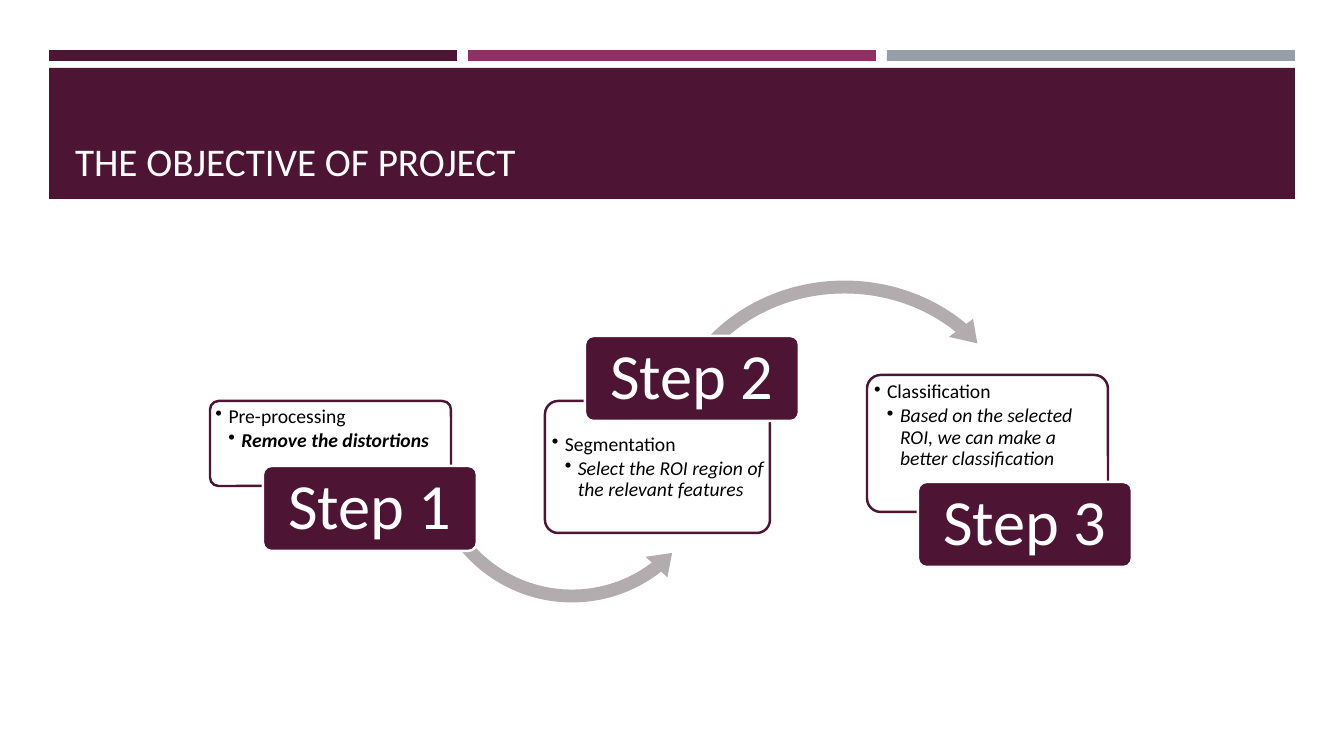
from dataclasses import dataclass

from lxml.etree import SubElement
from pptx import Presentation
from pptx.dml.color import RGBColor
from pptx.enum.shapes import MSO_SHAPE
from pptx.enum.text import MSO_ANCHOR, PP_ALIGN
from pptx.oxml.ns import qn
from pptx.util import Emu, Pt

EMU_PER_PX = 914400 / 100.8


@dataclass(frozen=True)
class Theme:
    font: str = "Calibri"
    plum: RGBColor = RGBColor.from_string("4D1434")
    magenta: RGBColor = RGBColor.from_string("903163")
    slate: RGBColor = RGBColor.from_string("969FA7")
    arrow: RGBColor = RGBColor.from_string("B2ACAE")
    white: RGBColor = RGBColor.from_string("FFFFFF")
    black: RGBColor = RGBColor.from_string("000000")
    title_size: Pt = Pt(28)
    step_size: Pt = Pt(46)
    body_size: Pt = Pt(14)
    outline: Pt = Pt(1.75)


def px(length):
    return Emu(round(length * EMU_PER_PX))


def assign(target, values):
    for name, value in values.items():
        setattr(target, name, value)


class SlideBuilder:
    def __init__(self, slide, theme):
        self.slide = slide
        self.theme = theme

    def shape(self, kind, box, fill, line=None, adjustments=()):
        shape = self.slide.shapes.add_shape(kind, *map(px, box))
        shape.shadow.inherit = False
        shape.fill.solid()
        shape.fill.fore_color.rgb = fill
        if line is None:
            shape.line.fill.background()
        else:
            shape.line.color.rgb = line
            shape.line.width = self.theme.outline
        for index, value in enumerate(adjustments):
            shape.adjustments[index] = value
        return shape

    def frame(self, shape, insets, anchor):
        left, top, right, bottom = map(px, insets)
        frame = shape.text_frame
        assign(frame, {
            "word_wrap": True, "vertical_anchor": anchor,
            "margin_left": left, "margin_top": top,
            "margin_right": right, "margin_bottom": bottom,
        })
        return frame

    def wording(self, paragraph, text, size, color, layout, **emphasis):
        assign(paragraph, layout)
        run = paragraph.add_run()
        run.text = text
        assign(run.font, {"name": self.theme.font, "size": size, **emphasis})
        run.font.color.rgb = color

    def title(self, text, box):
        title = self.slide.shapes.title
        assign(title, dict(zip(("left", "top", "width", "height"), map(px, box))))
        frame = self.frame(title, (10, 5, 10, 5), MSO_ANCHOR.BOTTOM)
        self.wording(frame.paragraphs[0], text, self.theme.title_size,
                     self.theme.white, {"alignment": PP_ALIGN.LEFT, "line_spacing": 0.9})
        self.slide.shapes._spTree.append(title._element)

    def bullet(self, paragraph, text, level, **emphasis):
        self.wording(paragraph, text, self.theme.body_size, self.theme.black, {
            "alignment": PP_ALIGN.LEFT, "level": level,
            "line_spacing": 0.9, "space_after": Pt(2),
        }, **emphasis)
        properties = paragraph._p.get_or_add_pPr()
        hanging = px(13)
        properties.set("marL", str(hanging * level))
        properties.set("indent", str(-hanging))
        SubElement(properties, qn("a:buChar"), char="•")

    def card(self, box, top_inset, heading, detail, bold):
        card = self.shape(MSO_SHAPE.ROUNDED_RECTANGLE, box, self.theme.white,
                          self.theme.plum, (0.1,))
        white = card._element.spPr.find(qn("a:solidFill"))[0]
        SubElement(white, qn("a:alpha"), val="90000")
        frame = self.frame(card, (3, top_inset, 0, 3), MSO_ANCHOR.TOP)
        self.bullet(frame.paragraphs[0], heading, 1)
        self.bullet(frame.add_paragraph(), detail, 2, italic=True, bold=bold)

    def step(self, left, top, text):
        step = self.shape(MSO_SHAPE.ROUNDED_RECTANGLE, (left, top, 214, 85),
                          self.theme.plum, self.theme.white, (0.1,))
        frame = self.frame(step, (10, 6, 10, 6), MSO_ANCHOR.MIDDLE)
        self.wording(frame.paragraphs[0], text, self.theme.step_size,
                     self.theme.white, {"alignment": PP_ALIGN.CENTER, "line_spacing": 0.9})


STAGES = [
    {"card": ((210, 401, 241, 85), 3, "Pre-processing", "Remove the distortions", True),
     "arrow": (MSO_SHAPE.LEFT_CIRCULAR_ARROW, (419, 305, 306, 306),
               (0.042, 5.255, 31.344, 98.579, 0.049)),
     "step": (263, 466)},
    {"card": ((545, 401, 225, 132), 30, "Segmentation",
              "Select the ROI region of the relevant features", False),
     "arrow": (MSO_SHAPE.CIRCULAR_ARROW, (657, 272, 375, 341),
               (0.038, 4.682, 189.29, 121.482, 0.044)),
     "step": (585, 336)},
    {"card": ((867, 375, 241, 137), 3, "Classification",
              "Based on the selected ROI, we can make a better classification", False),
     "arrow": None,
     "step": (918, 482)},
]


def main():
    presentation = Presentation()
    assign(presentation, {"slide_width": px(1344), "slide_height": px(756)})
    theme = Theme()
    slide = presentation.slides.add_slide(presentation.slide_layouts[5])
    builder = SlideBuilder(slide, theme)

    for column, accent in enumerate((theme.plum, theme.magenta, theme.slate)):
        builder.shape(MSO_SHAPE.RECTANGLE, (49 + 419 * column, 50, 408, 11), accent)
    builder.shape(MSO_SHAPE.RECTANGLE, (49, 68, 1246, 131), theme.plum)
    builder.title("THE OBJECTIVE OF PROJECT", (65, 78, 1216, 112))

    for number, stage in enumerate(STAGES, 1):
        builder.card(*stage["card"])
        if stage["arrow"]:
            kind, box, bend = stage["arrow"]
            builder.shape(kind, box, theme.arrow, adjustments=bend)
        builder.step(*stage["step"], f"Step {number}")

    presentation.save("out.pptx")


if __name__ == "__main__":
    main()
